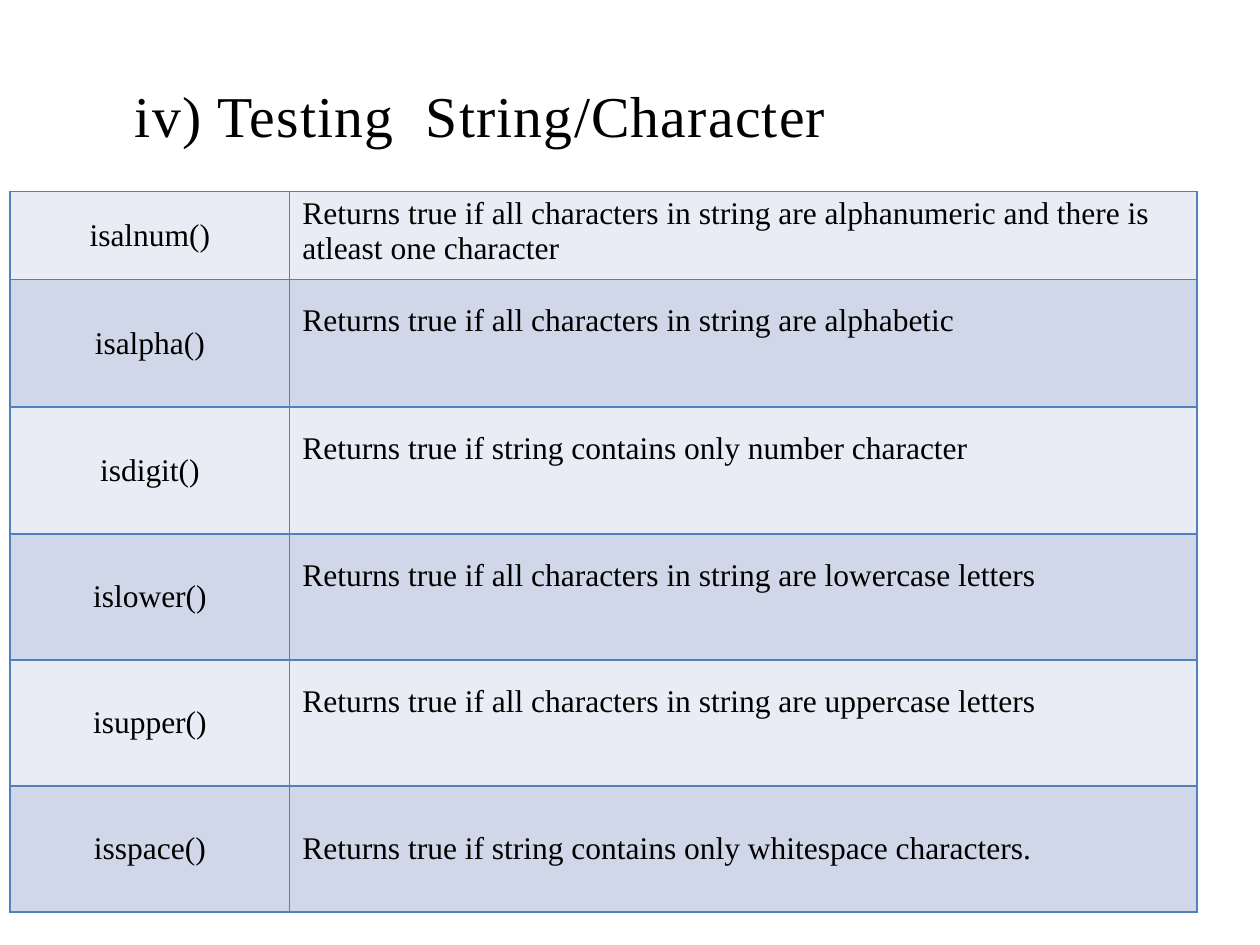
from lxml.etree import SubElement
from pptx import Presentation
from pptx.dml.color import RGBColor
from pptx.enum.text import MSO_ANCHOR, MSO_AUTO_SIZE, PP_ALIGN
from pptx.oxml.ns import qn
from pptx.util import Inches, Pt

FONT = "Times New Roman"
COLORS = {"text": "000000", "border": "4F81BC", "light": "E9ECF4", "dark": "D0D7E8"}
COLUMN_WIDTHS = [2.22, 7.2]
ROW_HEIGHTS = [0.7, 1.01, 1.01, 1, 1, 1]
METHODS = [
    ("isalnum()", "Returns true if all characters in string are alphanumeric and there is\n"
                  "atleast one character"),
    ("isalpha()", "Returns true if all characters in string are alphabetic"),
    ("isdigit()", "Returns true if string contains only number character"),
    ("islower()", "Returns true if all characters in string are lowercase letters"),
    ("isupper()", "Returns true if all characters in string are uppercase letters"),
    ("isspace()", "Returns true if string contains only whitespace characters."),
]


def color(name):
    return RGBColor.from_string(COLORS[name])


def style_paragraph(paragraph, size, align):
    paragraph.alignment = align
    paragraph.font.name = FONT
    paragraph.font.size = Pt(size)
    paragraph.font.color.rgb = color("text")


def add_title(slide, text):
    title = slide.shapes.title
    title.left, title.top = Inches(1.07), Inches(0.62)
    title.width, title.height = Inches(7.86), Inches(0.57)
    frame = title.text_frame
    frame.text = text
    frame.auto_size = MSO_AUTO_SIZE.NONE
    frame.vertical_anchor = MSO_ANCHOR.MIDDLE
    frame.margin_left = frame.margin_right = frame.margin_bottom = 0
    frame.margin_top = Inches(0.01)
    heading = frame.paragraphs[0]
    style_paragraph(heading, 33, PP_ALIGN.LEFT)
    heading.runs[0].font._element.set("spc", "70")


def add_borders(cell):
    """Draw all four cell edges; borders must precede the fill in tcPr."""
    properties = cell._tc.get_or_add_tcPr()
    for position, edge in enumerate(("a:lnL", "a:lnR", "a:lnT", "a:lnB")):
        line = SubElement(properties, qn(edge), w=str(Pt(1)))
        fill = SubElement(line, qn("a:solidFill"))
        SubElement(fill, qn("a:srgbClr"), val=COLORS["border"])
        properties.insert(position, line)


def fill_cell(cell, text, background, align, anchor, left=0, top=0):
    cell.text = text
    cell.vertical_anchor = anchor
    cell.margin_left, cell.margin_top = Inches(left), Inches(top)
    cell.margin_right = cell.margin_bottom = 0
    cell.fill.solid()
    cell.fill.fore_color.rgb = color(background)
    add_borders(cell)
    for paragraph in cell.text_frame.paragraphs:
        style_paragraph(paragraph, 18, align)


def add_method_table(slide):
    table = slide.shapes.add_table(
        len(METHODS), len(COLUMN_WIDTHS), Inches(0.08), Inches(1.52),
        Inches(sum(COLUMN_WIDTHS)), Inches(sum(ROW_HEIGHTS))).table
    table.first_row = table.horz_banding = False
    for column, width in zip(table.columns, COLUMN_WIDTHS):
        column.width = Inches(width)

    last = len(METHODS) - 1
    for index, (method, description) in enumerate(METHODS):
        table.rows[index].height = Inches(ROW_HEIGHTS[index])
        background = "dark" if index % 2 else "light"
        fill_cell(table.cell(index, 0), method, background,
                  PP_ALIGN.CENTER, MSO_ANCHOR.MIDDLE)
        if index == last:
            anchor, top = MSO_ANCHOR.MIDDLE, 0
        else:
            anchor, top = MSO_ANCHOR.TOP, 0.19 if index else 0.04
        fill_cell(table.cell(index, 1), description, background,
                  PP_ALIGN.LEFT, anchor, left=0.1, top=top)


def main():
    presentation = Presentation()
    presentation.slide_width, presentation.slide_height = Inches(10), Inches(7.5)
    slide = presentation.slides.add_slide(presentation.slide_layouts[5])
    add_title(slide, "iv) Testing  String/Character")
    add_method_table(slide)
    presentation.save("out.pptx")


if __name__ == "__main__":
    main()
